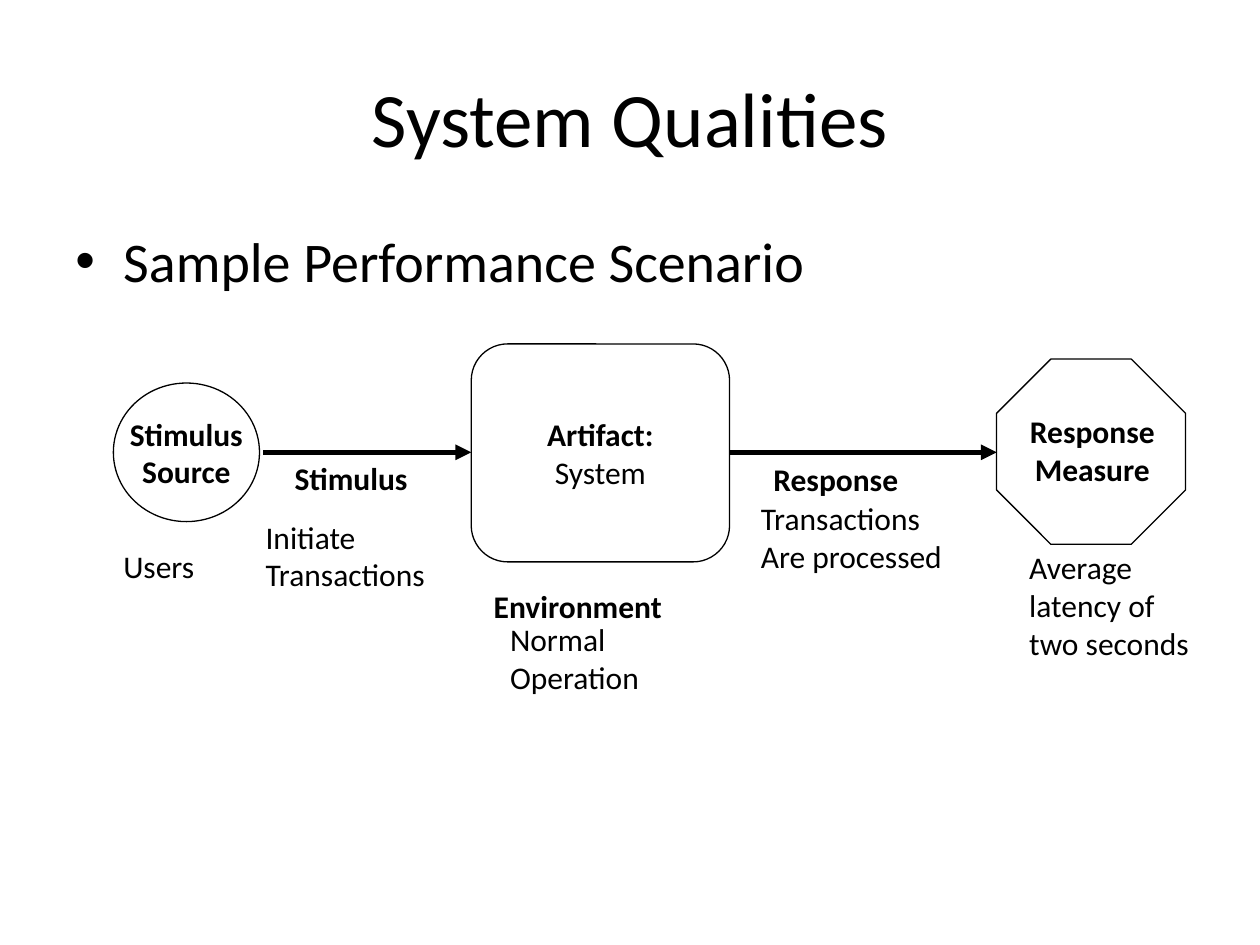
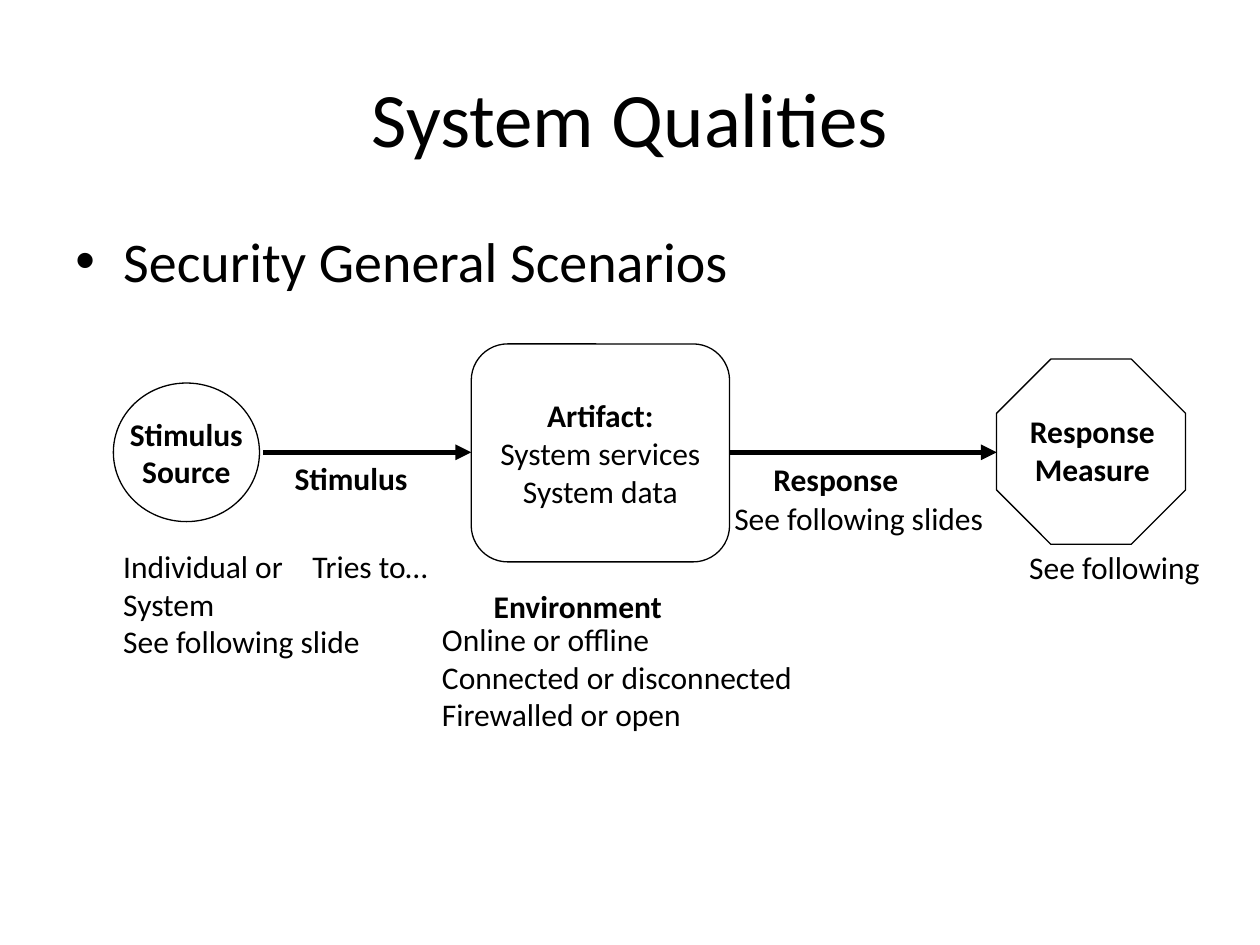
"""Build two slides that show quality attribute scenarios as stimulus-response diagrams."""
from dataclasses import dataclass

from lxml import etree
from pptx import Presentation
from pptx.dml.color import RGBColor
from pptx.enum.shapes import MSO_CONNECTOR, MSO_SHAPE
from pptx.enum.text import MSO_ANCHOR, MSO_AUTO_SIZE, PP_ALIGN
from pptx.oxml.ns import qn
from pptx.util import Inches, Pt

LEFT, CENTER = PP_ALIGN.LEFT, PP_ALIGN.CENTER
TOP, MIDDLE = MSO_ANCHOR.TOP, MSO_ANCHOR.MIDDLE
GROW, FIXED = MSO_AUTO_SIZE.SHAPE_TO_FIT_TEXT, MSO_AUTO_SIZE.NONE
STRAIGHT = MSO_CONNECTOR.STRAIGHT
ROUNDED, OCTAGON, OVAL = MSO_SHAPE.ROUNDED_RECTANGLE, MSO_SHAPE.OCTAGON, MSO_SHAPE.OVAL


@dataclass(frozen=True)
class Theme:
    font: str = "Calibri"
    ink: RGBColor = RGBColor(0, 0, 0)
    title: Pt = Pt(44)
    body: Pt = Pt(32)
    label: Pt = Pt(18)
    outline: Pt = Pt(0.75)
    arrow: Pt = Pt(3)


theme = Theme()
deck = Presentation()
deck.slide_width, deck.slide_height = Inches(10), Inches(7.5)
COLUMN, ROW = deck.slide_width / 100, deck.slide_height / 75


def place(column, row, width, height):
    """Turn grid columns and rows into slide lengths."""
    return [round(n * unit) for n, unit in zip((column, row, width, height), (COLUMN, ROW) * 2)]


def write(box, lines, size=theme.label, align=LEFT, bold_lines=0, **frame_format):
    """Fill a box with one paragraph per line, the first bold_lines of them bold."""
    frame = box.text_frame
    frame_values = {"word_wrap": False, "auto_size": GROW, "vertical_anchor": TOP} | frame_format
    for name, value in frame_values.items():
        setattr(frame, name, value)
    for index, line in enumerate(lines):
        para = frame.paragraphs[0] if index == 0 else frame.add_paragraph()
        para.alignment = align
        span = para.add_run()
        span.text = line
        span.font.color.rgb = theme.ink
        font_values = {"name": theme.font, "size": size, "bold": index < bold_lines}
        for name, value in font_values.items():
            setattr(span.font, name, value)


NODES = [
    (ROUNDED, (37.4, 27.3, 20.5, 17.3), 0.167),
    (OCTAGON, (79.1, 28.5, 15, 14.7), 0.293),
    (OVAL, (9, 30.4, 11.6, 11), None),
]
ARROW_ROW = 35.9
ARROWS = [(57.9, 79.1), (20.9, 37.4)]
HEADINGS = [
    ("Environment", (38.2, 46.1, 17.3, 4)),
    ("Response", (60.4, 36, 14, 4)),
    ("Stimulus", (22.4, 35.9, 12.6, 4)),
]
SCENARIOS = [
    ("Sample Performance Scenario", ["System"], [
        (["Users"], (8.8, 42.9, 8.5, 4)),
        (["Initiate", "Transactions"], (20.1, 40.6, 16.3, 10)),
        (["Normal", "Operation"], (39.5, 48.7, 13, 7)),
        (["Transactions", "Are processed"], (59.4, 39.1, 18.1, 7)),
        (["Average", "latency of", "two seconds"], (80.7, 43, 15.9, 10)),
    ]),
    ("Security General Scenarios", ["System services", "System data"], [
        (["Individual or", "System", "See following slide"], (8.8, 42.9, 22.7, 10)),
        (["Tries to…"], (23.8, 42.9, 12.8, 7)),
        (["Online or offline", "Connected or disconnected", "Firewalled or open"],
         (34.1, 48.7, 32.4, 10)),
        (["See following slides"], (57.3, 39.1, 24, 4)),
        (["See following"], (80.7, 43, 16.9, 4)),
    ]),
]

for topic, artifact, details in SCENARIOS:
    page = deck.slides.add_slide(deck.slide_layouts[6])
    shapes = page.shapes

    title = shapes.add_textbox(*place(5, 3, 90, 12.5))
    write(title, ["System Qualities"], theme.title, CENTER,
          word_wrap=True, auto_size=FIXED, vertical_anchor=MIDDLE)

    body = shapes.add_textbox(*place(5, 17.5, 90, 49.5))
    properties = body.text_frame.paragraphs[0]._p.get_or_add_pPr()
    properties.set("marL", str(Inches(0.38)))
    properties.set("indent", str(-Inches(0.38)))
    etree.SubElement(properties, qn("a:buFont")).set("typeface", "Arial")
    etree.SubElement(properties, qn("a:buChar")).set("char", "•")
    write(body, [topic], theme.body, word_wrap=True, auto_size=FIXED)

    node_texts = {ROUNDED: ["Artifact:", *artifact], OVAL: ["Stimulus", "Source"]}
    for kind, area, adjustment in NODES:
        node = shapes.add_shape(kind, *place(*area))
        node.shadow.inherit = False
        node.fill.background()
        node.line.color.rgb = theme.ink
        node.line.width = theme.outline
        if adjustment:
            node.adjustments[0] = adjustment
        if kind in node_texts:
            write(node, node_texts[kind], align=CENTER, bold_lines=1 if kind == ROUNDED else 2,
                  auto_size=FIXED, vertical_anchor=MIDDLE)

    for start, end in ARROWS:
        arrow = shapes.add_connector(STRAIGHT, *place(start, ARROW_ROW, end, ARROW_ROW))
        arrow.line.color.rgb = theme.ink
        arrow.line.width = theme.arrow
        etree.SubElement(arrow.line._get_or_add_ln(), qn("a:tailEnd")).set("type", "triangle")
        etree.SubElement(arrow._element.spPr, qn("a:effectLst"))

    for heading, area in HEADINGS:
        write(shapes.add_textbox(*place(*area)), [heading], bold_lines=1)

    measure = shapes.add_textbox(*place(79.7, 32.2, 14, 7))
    write(measure, ["Response", "Measure"], align=CENTER, bold_lines=2)

    for lines, area in details:
        write(shapes.add_textbox(*place(*area)), lines)

deck.save("out.pptx")
